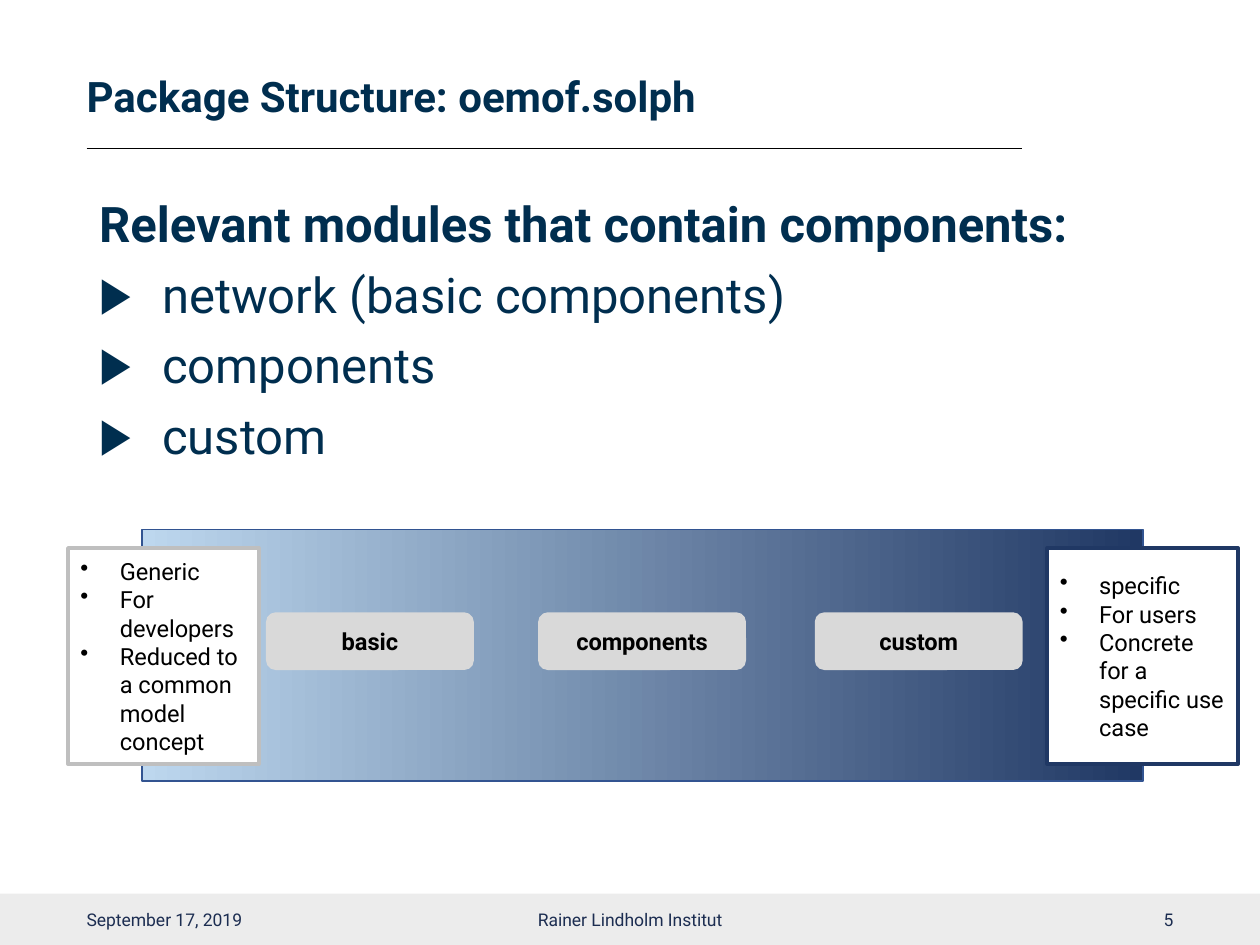
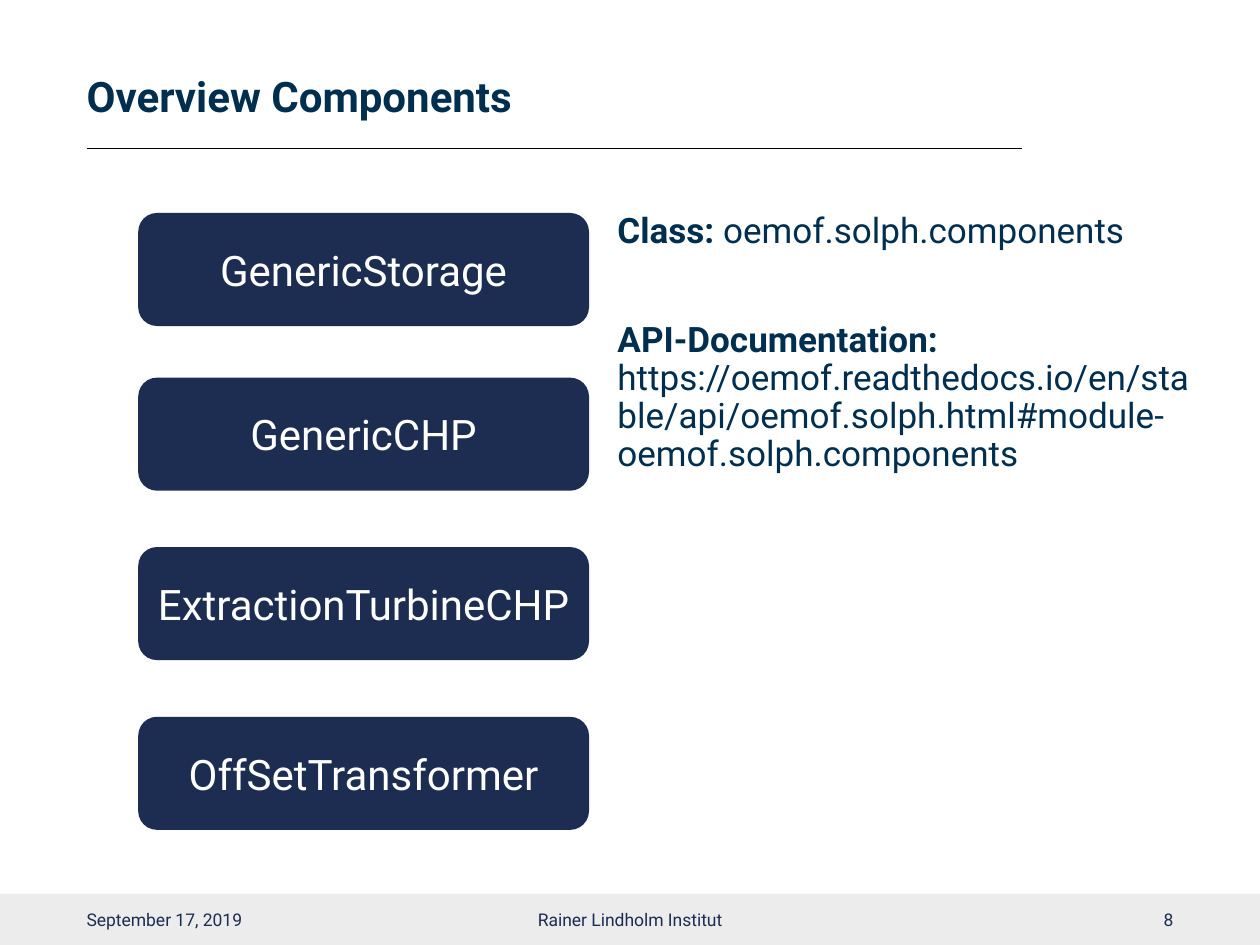
"""Build two slides about the component modules of oemof.solph."""
from lxml import etree
from pptx import Presentation
from pptx import util as u
from pptx.dml import color
from pptx.enum import shapes, text
from pptx.oxml import ns

FONT = "Roboto"
NAVY, PETROL, DEEP_BLUE, LIGHT_BLUE = "1C2D51", "002E4F", "203864", "BDD7EE"
BLACK, WHITE, BAND, BUTTON, SILVER = "000000", "FFFFFF", "ECECEC", "D9D9D9", "BFBFBF"
LEFT, CENTER, RIGHT = text.PP_ALIGN.LEFT, text.PP_ALIGN.CENTER, text.PP_ALIGN.RIGHT
MIDDLE, TOP = text.MSO_ANCHOR.MIDDLE, text.MSO_ANCHOR.TOP
RECTANGLE, ROUNDED = shapes.MSO_SHAPE.RECTANGLE, shapes.MSO_SHAPE.ROUNDED_RECTANGLE


def rgb(value):
    """Return the colour for a hex string."""
    return color.RGBColor.from_string(value)


def write(shape, paragraphs, size, ink, align=LEFT, anchor=MIDDLE, margins=(7.2, 3.6, 7.2, 3.6),
          spacing=1.0, gap=0, indent=0):
    """Write paragraphs of (bullet, space above, runs), each run a (text, bold) pair."""
    frame = shape.text_frame
    left, top, right, bottom = map(u.Pt, margins)
    frame_format = {"auto_size": text.MSO_AUTO_SIZE.NONE, "word_wrap": True,
                    "vertical_anchor": anchor, "margin_left": left, "margin_top": top,
                    "margin_right": right, "margin_bottom": bottom}
    for name, value in frame_format.items():
        setattr(frame, name, value)
    for index, (bullet, extra, runs) in enumerate(paragraphs):
        paragraph = frame.paragraphs[0] if index == 0 else frame.add_paragraph()
        properties = paragraph._p.get_or_add_pPr()
        hanging = u.Pt(indent) if bullet else 0
        properties.set("marL", str(hanging))
        properties.set("indent", str(-hanging))
        if bullet:
            etree.SubElement(properties, ns.qn("a:buChar")).set("char", bullet)
        else:
            etree.SubElement(properties, ns.qn("a:buNone"))
        paragraph_format = {"alignment": align, "line_spacing": spacing, "space_after": u.Pt(0),
                            "space_before": u.Pt(gap + extra if index else 0)}
        for name, value in paragraph_format.items():
            setattr(paragraph, name, value)
        for words, bold in runs:
            run = paragraph.add_run()
            run.text = words
            run.font.color.rgb = rgb(ink)
            for name, value in {"name": FONT, "size": u.Pt(size), "bold": bold}.items():
                setattr(run.font, name, value)


presentation = Presentation()
presentation.slide_width, presentation.slide_height = u.Pt(720), u.Pt(540)

modules_body = [(None, 0, [("Relevant modules that contain components:", True)])] + [
    ("▶", 0, [(name, False)]) for name in ("network (basic components)", "components", "custom")]
documentation_body = [
    (None, 0, [("Class: ", True), ("oemof.solph.components", False)]),
    (None, 31, [("API-Documentation: ", True),
                ("https://oemof.readthedocs.io/en/stable/api/oemof.solph.html"
                 "#module-oemof.solph.components", False)])]
contents = [
    ("Package Structure: oemof.solph", "5", (49.5, 114.5, 620.6, 366.5), 28, modules_body),
    ("Overview Components", "8", (345.6, 121.7, 343.4, 359.3), 20, documentation_body)]

for title, number, body_box, body_size, body in contents:
    slide = presentation.slides.add_slide(presentation.slide_layouts[1])
    band = slide.shapes.add_shape(RECTANGLE, *map(u.Pt, (0, 510.7, 720, 29.3)))
    band.shadow.inherit = False
    band.fill.solid()
    band.fill.fore_color.rgb = rgb(BAND)
    band.line.fill.background()

    rule = slide.shapes.add_connector(shapes.MSO_CONNECTOR.STRAIGHT,
                                      *map(u.Pt, (49.5, 84.8, 584, 84.8)))
    rule.line.color.rgb = rgb(BLACK)
    rule.line.width = u.Pt(0.5)
    etree.SubElement(rule._element.spPr, ns.qn("a:effectLst"))

    heading, body_holder = slide.shapes.title, slide.placeholders[1]
    for holder, box in ((heading, (49.5, 27.4, 535, 57.6)), (body_holder, body_box)):
        for name, value in zip(("left", "top", "width", "height"), box):
            setattr(holder, name, u.Pt(value))
    write(heading, [(None, 0, [(title, True)])], 24, PETROL,
          margins=(0, 3.6, 7.2, 3.6), spacing=0.9)
    write(body_holder, body, body_size, PETROL, anchor=TOP,
          margins=(7.2, 0, 7.2, 3.6), spacing=0.9, gap=10, indent=36)

    for words, left, width, align in (("September 17, 2019", 49.5, 162, LEFT),
                                      ("Rainer Lindholm Institut", 238.5, 243, CENTER),
                                      (number, 508.5, 162, RIGHT)):
        footer = slide.shapes.add_textbox(*map(u.Pt, (left, 511, width, 28.8)))
        write(footer, [(None, 0, [(words, False)])], 10, NAVY, align, margins=(0, 3.6, 0, 3.6))

structure, overview = presentation.slides

spectrum = structure.shapes.add_shape(RECTANGLE, *map(u.Pt, (81.2, 302.6, 571.8, 143.6)))
spectrum.shadow.inherit = False
spectrum.fill.gradient()
spectrum.fill.gradient_angle = 0
for stop, position, shade in zip(spectrum.fill.gradient_stops, (0, 1), (LIGHT_BLUE, DEEP_BLUE)):
    stop.position = position
    stop.color.rgb = rgb(shade)
spectrum.line.color.rgb = rgb("325491")
spectrum.line.width = u.Pt(1)

notes = [(38.9, SILVER, ("Generic", "For developers", "Reduced to a common model concept")),
         (598.5, DEEP_BLUE, ("specific", "For users", "Concrete for a specific use case"))]
for left, border, points in notes:
    note = structure.shapes.add_shape(RECTANGLE, *map(u.Pt, (left, 313.2, 109, 123.4)))
    note.shadow.inherit = False
    note.fill.solid()
    note.fill.fore_color.rgb = rgb(WHITE)
    note.line.color.rgb = rgb(border)
    note.line.width = u.Pt(2.25)
    write(note, [("•", 0, [(point, False)]) for point in points], 13.5, BLACK, indent=22.5)

module_buttons = [(structure, name, (left, 349.9, 118.8, 33), BUTTON, BLACK, 13.5, True)
                  for name, left in (("basic", 152), ("components", 307.5), ("custom", 465.6))]
class_buttons = [(overview, name, (79, top, 257.6, 64.6), NAVY, WHITE, 24, False)
                 for name, top in (("GenericStorage", 121.7), ("GenericCHP", 215.8),
                                   ("ExtractionTurbineCHP", 312.6), ("OffSetTransformer", 409.6))]
for slide, name, box, fill, ink, size, bold in module_buttons + class_buttons:
    button = slide.shapes.add_shape(ROUNDED, *map(u.Pt, box))
    button.shadow.inherit = False
    button.fill.solid()
    button.fill.fore_color.rgb = rgb(fill)
    button.line.fill.background()
    write(button, [(None, 0, [(name, bold)])], size, ink, CENTER)

presentation.save("out.pptx")
